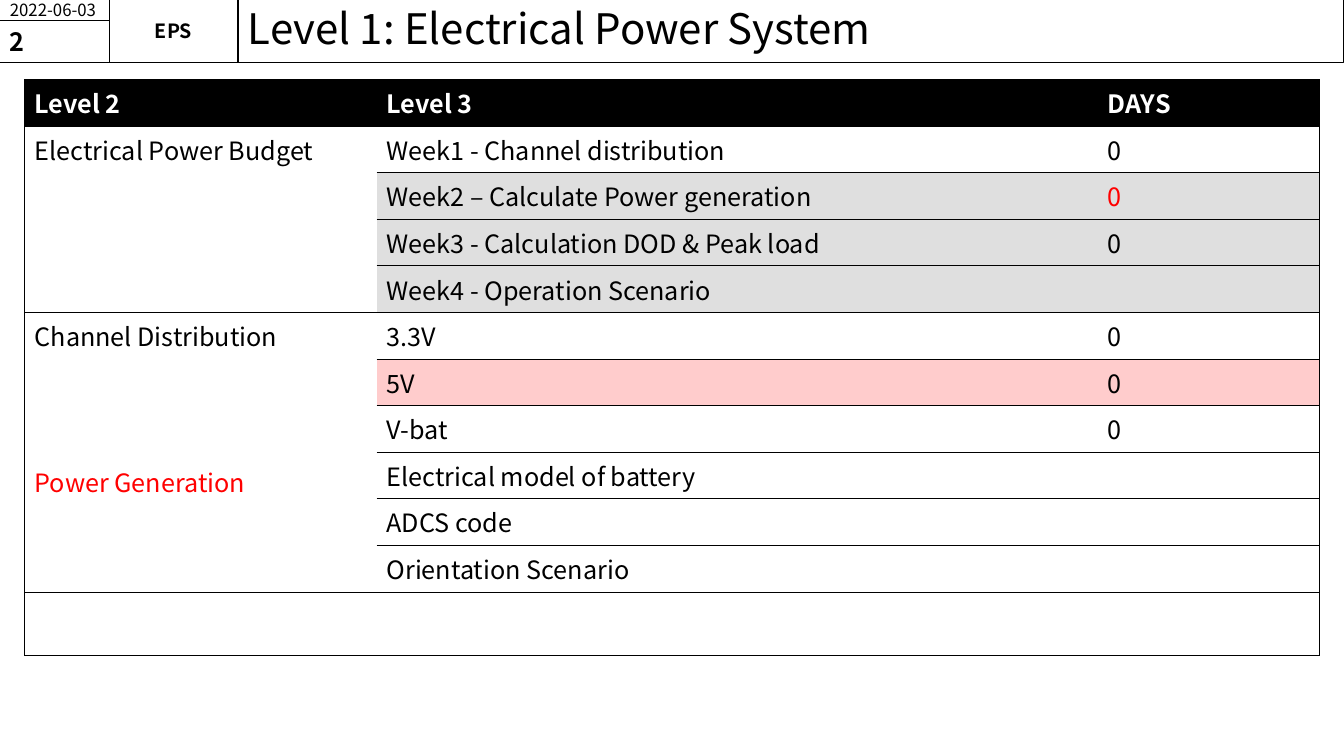
from dataclasses import dataclass

from lxml import etree
from pptx import Presentation
from pptx.dml.color import RGBColor
from pptx.enum.shapes import MSO_SHAPE
from pptx.enum.text import MSO_ANCHOR, PP_ALIGN
from pptx.oxml.ns import qn
from pptx.util import Cm, Pt

RECT = MSO_SHAPE.RECTANGLE
MIDDLE = MSO_ANCHOR.MIDDLE
LEFT, CENTER = PP_ALIGN.LEFT, PP_ALIGN.CENTER

BLACK = RGBColor(0x00, 0x00, 0x00)
WHITE = RGBColor(0xFF, 0xFF, 0xFF)
RED = RGBColor(0xFF, 0x00, 0x00)
GRAY = RGBColor(0xDF, 0xDF, 0xDF)
PINK = RGBColor(0xFF, 0xCC, 0xCC)
FONT = "Noto Sans CJK KR"


@dataclass
class Box:
    text: str
    left: float
    top: float
    width: float
    height: float
    size: float
    bold: bool = False
    align: int = LEFT
    inset: bool = True
    space: float = 1


@dataclass
class Row:
    texts: tuple
    fill: RGBColor = WHITE
    ink: RGBColor = BLACK
    days: RGBColor = BLACK
    bold: bool = False


BOXES = [
    Box("Level 1: Electrical Power System", 6, 0, 27.87, 1.57, 30, space=0.9),
    Box("2022-06-03", 0, 0, 2.75, 0.51, 12),
    Box("EPS", 2.75, 0, 3.25, 1.57, 14, True, CENTER, False),
    Box("2", 0, 0.51, 2.75, 1.06, 18, True),
]

ROWS = [
    Row(("Level 2", "Level 3", "DAYS"), BLACK, WHITE, WHITE, True),
    Row(("Electrical Power Budget", "Week1 - Channel distribution", "0")),
    Row(("", "Week2 – Calculate Power generation", "0"), GRAY, days=RED),
    Row(("", "Week3 - Calculation DOD & Peak load", "0"), GRAY),
    Row(("", "Week4 - Operation Scenario", ""), GRAY),
    Row(("Channel Distribution", "3.3V", "0")),
    Row(("", "5V", "0"), PINK),
    Row(("", "V-bat", "0")),
    Row(("", "Electrical model of battery", "")),
    Row(("", "ADCS code", "")),
    Row(("", "Orientation Scenario", "")),
    Row(("", "", "")),
]
COLS = (8.87, 18.17, 5.59)
HIGH, LAST = 1.17, 1.6
SPANS = ((1, 4), (5, 10))


def style(para, size: float, color: RGBColor, bold: bool) -> None:
    looks = {"name": FONT, "size": Pt(size), "bold": bold}
    for key, value in looks.items():
        setattr(para.font, key, value)
    para.font.color.rgb = color


def draw_box(slide, box: Box) -> None:
    place = (box.left, box.top, box.width, box.height)
    shape = slide.shapes.add_shape(RECT, *map(Cm, place))
    shape.shadow.inherit = False
    shape.fill.background()
    shape.line.color.rgb = BLACK
    shape.line.width = Pt(0.75)
    frame = shape.text_frame
    looks = {"word_wrap": True, "vertical_anchor": MIDDLE}
    if not box.inset:
        sides = ("left", "right", "top", "bottom")
        looks.update({f"margin_{side}": 0 for side in sides})
    for key, value in looks.items():
        setattr(frame, key, value)
    para = frame.paragraphs[0]
    para.text = box.text
    para.alignment = box.align
    para.line_spacing = box.space
    style(para, box.size, BLACK, box.bold)


def rule(cell, edges: dict[str, bool]) -> None:
    props = cell._tc.get_or_add_tcPr()
    for edge, shown in edges.items():
        line = etree.SubElement(props, qn(f"a:ln{edge}"), w=str(Pt(0.5)))
        if shown:
            fill = etree.SubElement(line, qn("a:solidFill"))
            etree.SubElement(fill, qn("a:srgbClr"), val=str(BLACK))
        else:
            etree.SubElement(line, qn("a:noFill"))


def draw_table(slide) -> None:
    high = HIGH * (len(ROWS) - 1) + LAST
    place = (0.62, 2, sum(COLS), high)
    frame = slide.shapes.add_table(len(ROWS), len(COLS), *map(Cm, place))
    table = frame.table
    table.horz_banding = False
    for col, width in zip(table.columns, COLS):
        col.width = Cm(width)
    for line in table.rows:
        line.height = Cm(HIGH)
    table.rows[len(ROWS) - 1].height = Cm(LAST)
    for first, last in SPANS:
        table.cell(first, 0).merge(table.cell(last, 0))

    for i, row in enumerate(ROWS):
        for j, text in enumerate(row.texts):
            cell = table.cell(i, j)
            inner = j == 0 and any(a <= i < b for a, b in SPANS)
            rule(cell, {
                "L": j == 0,
                "R": j == len(COLS) - 1,
                "T": not cell.is_spanned,
                "B": cell.is_merge_origin or not inner,
            })
            cell.fill.solid()
            cell.fill.fore_color.rgb = row.fill if j or i == 0 else WHITE
            para = cell.text_frame.paragraphs[0]
            para.text = text
            ink = row.days if j == 2 else row.ink
            style(para, 18, ink, row.bold)

    power = table.cell(SPANS[1][0], 0).text_frame.add_paragraph()
    power.text = "Power Generation"
    power.space_before = Pt(78)
    style(power, 18, RED, False)


def main() -> None:
    deck = Presentation()
    deck.slide_width, deck.slide_height = Cm(33.87), Cm(19.05)
    slide = deck.slides.add_slide(deck.slide_layouts[6])
    for box in BOXES:
        draw_box(slide, box)
    draw_table(slide)
    deck.save("out.pptx")


if __name__ == "__main__":
    main()
